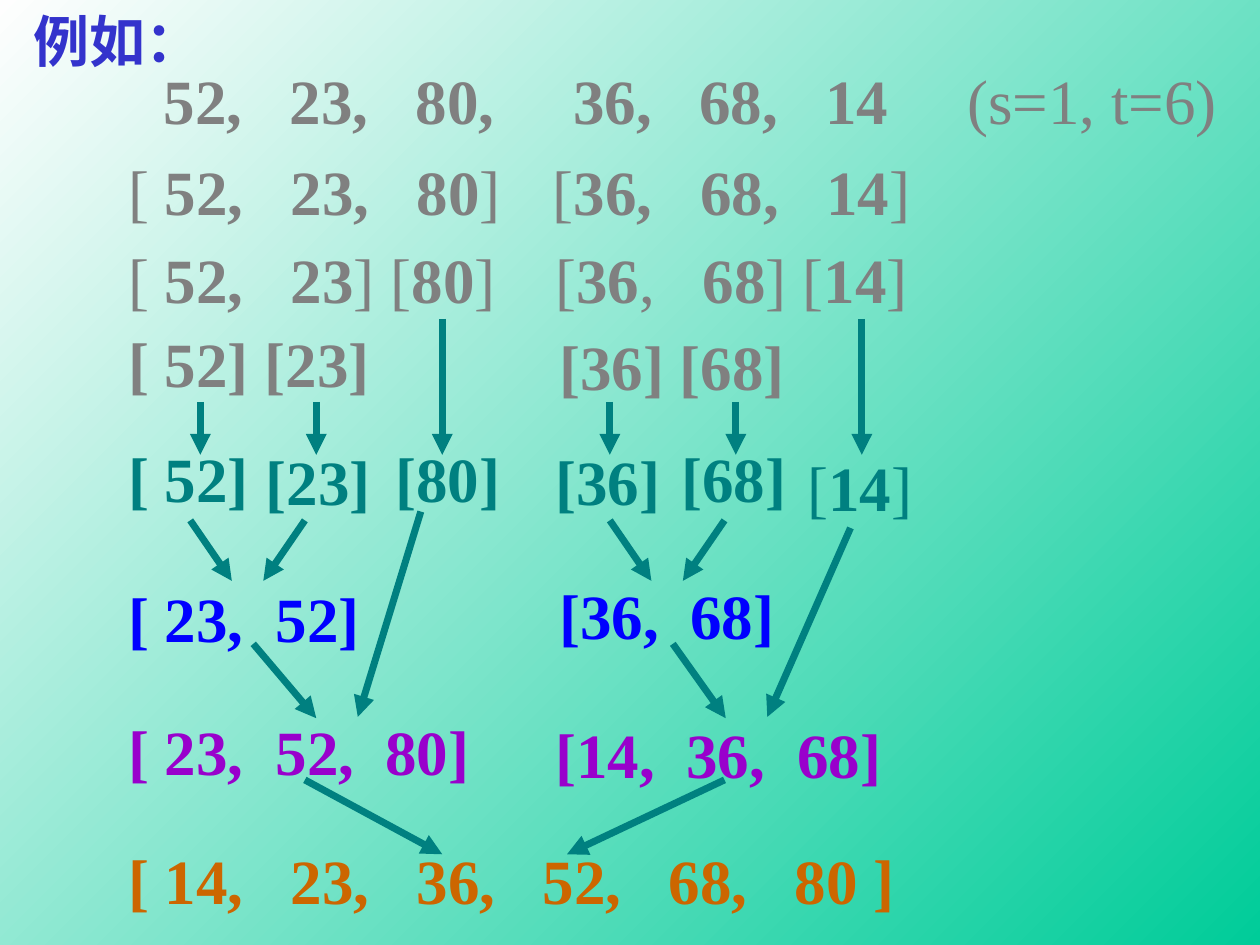
from dataclasses import dataclass

from lxml import etree
from pptx import Presentation
from pptx import util as u
from pptx.dml.color import RGBColor
from pptx.enum import shapes, text
from pptx.oxml import ns


@dataclass(frozen=True)
class Theme:
    """Grid cell, type sizes and colours of the slide."""
    cell: float = 0.1
    columns: int = 100
    rows: int = 75
    font: str = "Times New Roman"
    title_size: int = 32
    body_size: int = 36
    arrow_width: int = 4
    title: str = "3333CC"
    split: str = "808080"
    single: str = "008080"
    pair: str = "0000FF"
    triple: str = "9900CC"
    result: str = "CC6600"
    light: str = "FEFEFE"
    deep: str = "00CC99"


THEME = Theme()


def cells(count):
    """Convert a count of grid cells to a length."""
    return u.Inches(count * THEME.cell)


def rgb(value):
    """Turn a hex string into a colour."""
    return RGBColor.from_string(value)


def set_tabs(paragraph, stops):
    """Set left tab stops, given in cells from the text edge."""
    properties = paragraph._p.get_or_add_pPr()
    tab_list = etree.SubElement(properties, ns.qn("a:tabLst"))
    for stop in stops:
        etree.SubElement(tab_list, ns.qn("a:tab"), pos=str(int(cells(stop))), algn="l")


def add_text(slide, origin, place, wording, color, stops=(), size=THEME.body_size):
    """Write one line in a box; asterisks enclose its bold parts."""
    left, top, width = place
    box = slide.shapes.add_textbox(
        cells(origin[0] + left), cells(origin[1] + top), cells(width), cells(7))
    frame = box.text_frame
    frame.word_wrap = True
    frame.auto_size = text.MSO_AUTO_SIZE.SHAPE_TO_FIT_TEXT
    paragraph = frame.paragraphs[0]
    if stops:
        set_tabs(paragraph, stops)
    for index, part in enumerate(wording.split("*")):
        if part:
            run = paragraph.add_run()
            run.text = part
            run.font.name = THEME.font
            run.font.size = u.Pt(size)
            run.font.bold = index % 2 == 1
            run.font.color.rgb = rgb(color)


def add_arrow(slide, origin, ends):
    """Draw an arrow between two points of a region."""
    x, y = origin
    start_x, start_y, end_x, end_y = ends
    arrow = slide.shapes.add_connector(
        shapes.MSO_CONNECTOR.STRAIGHT, cells(x + start_x), cells(y + start_y),
        cells(x + end_x), cells(y + end_y))
    arrow.line.color.rgb = rgb(THEME.single)
    arrow.line.width = u.Pt(THEME.arrow_width)
    etree.SubElement(arrow.line._get_or_add_ln(), ns.qn("a:tailEnd"), type="triangle")
    etree.SubElement(arrow._element.spPr, ns.qn("a:effectLst"))


def paint_background(slide):
    """Fill the slide with a diagonal gradient."""
    fill = slide.background.fill
    fill.gradient()
    fill.gradient_angle = 135
    for stop, color in zip(fill.gradient_stops, (THEME.deep, THEME.light)):
        stop.color.rgb = rgb(color)


def add_heading(slide, origin):
    """Place the title, the input list and its first split."""
    add_text(slide, origin, (1.7, 0, 16), "*例如：*", THEME.title, size=THEME.title_size)
    add_text(slide, origin, (12, 4.4, 87), "*52,\t23,\t80,\t36,\t68,\t14*\t(s=1, t=6)",
             THEME.split, (10, 20, 32.5, 42.5, 52.5, 63.8))
    add_text(slide, origin, (9.2, 11.6, 66), "[ *52,\t23,\t80*]\t[*36,\t68,\t14*]",
             THEME.split, (12.9, 22.9, 33.7, 45.4, 55.4))


def add_half(slide, origin, labels, arrows):
    """Place the splitting and merging of one half of the list."""
    for label in labels:
        add_text(slide, origin, *label)
    shared = [(15.9, 13.3, 15.9, 17.5), (25.9, 6.7, 25.9, 17.5),
              (5.9, 22.7, 9.2, 27.5), (15, 22.7, 11.7, 27.5)]
    for ends in shared + arrows:
        add_arrow(slide, origin, ends)


def add_result(slide, origin):
    """Place the last merge and the sorted list."""
    add_text(slide, origin, (0, 4.4, 65), "*[ 14,\t23,\t36,\t52,\t68,\t80 ]*", THEME.result,
             [12.9 + 10 * step for step in range(5)])
    for ends in ((15, 0, 25.9, 5.9), (48.3, 0, 35.8, 5.9)):
        add_arrow(slide, origin, ends)


LEFT_LABELS = [
    ((0, 0, 33), "[ *52,\t23*] [*80*]", THEME.split, (12.9,)),
    ((0, 6.7, 23.3), "*[ 52] [23]*", THEME.split),
    ((0, 15.8, 12.5), "*[ 52]*", THEME.single),
    ((10.9, 16, 11), "*[23]*", THEME.single),
    ((21.2, 15.8, 11), "*[80]*", THEME.single),
    ((0, 26.9, 21), "*[ 23,\t52]*", THEME.pair, (11.7,)),
    ((0, 37.5, 30), "*[ 23,\t52,\t80]*", THEME.triple, (11.7, 20.4)),
]
LEFT_ARROWS = [(6.7, 13.3, 6.7, 17.5), (10.9, 32.5, 15.9, 38.4), (24.2, 22, 19.2, 38.3)]
RIGHT_LABELS = [
    ((0.6, 0, 32), "[*36*,\t*68*] [*14*]", THEME.split, (11.7,)),
    ((0.9, 6.9, 22), "*[36] [68]*", THEME.split),
    ((0.6, 16, 11), "*[36]*", THEME.single),
    ((10.6, 15.8, 11), "*[68]*", THEME.single),
    ((20.6, 16.5, 11), "[*14*]", THEME.single),
    ((0.9, 26.7, 20), "*[36,\t68]*", THEME.pair, (10.4,)),
    ((0.6, 37.7, 29), "*[14,\t36,\t68]*", THEME.triple, (10.4, 19.2)),
]
RIGHT_ARROWS = [(5.9, 13.3, 5.9, 17.5), (10.9, 32.5, 15.1, 38.4), (25, 23.3, 18.4, 38.3)]


def main():
    """Build and save the merge sort slide."""
    presentation = Presentation()
    presentation.slide_width = cells(THEME.columns)
    presentation.slide_height = cells(THEME.rows)
    slide = presentation.slides.add_slide(presentation.slide_layouts[6])
    paint_background(slide)
    add_heading(slide, (0, 0))
    add_half(slide, (9.2, 18.6), LEFT_LABELS, LEFT_ARROWS)
    add_half(slide, (42.5, 18.6), RIGHT_LABELS, RIGHT_ARROWS)
    add_result(slide, (9.2, 61.9))
    presentation.save("out.pptx")


main()
